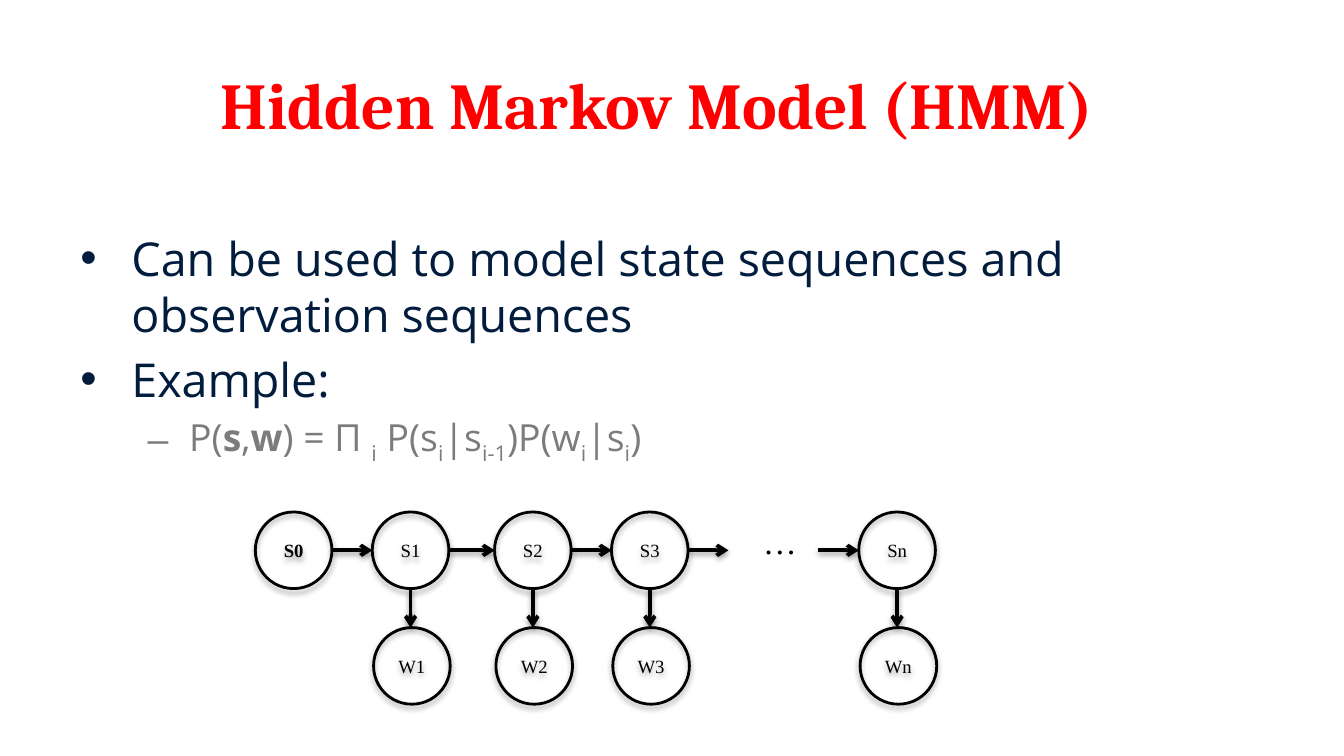
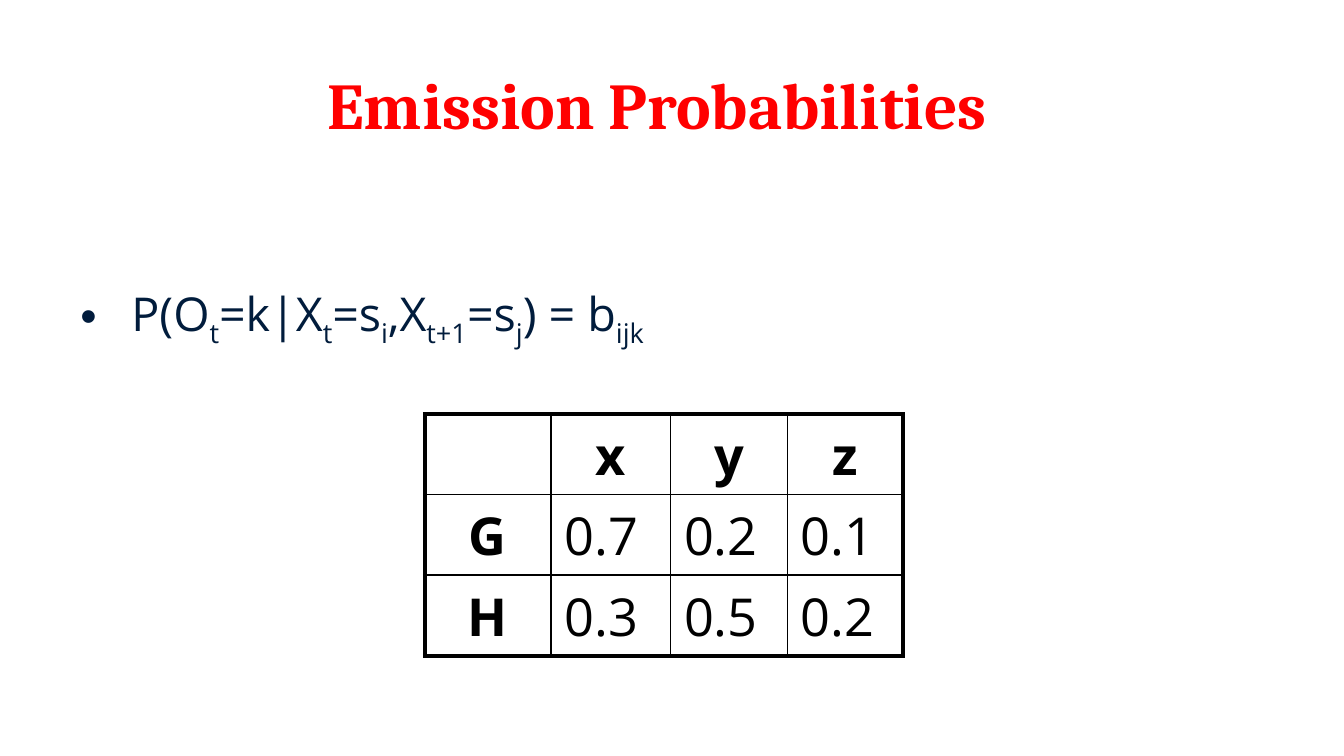
from dataclasses import dataclass

from lxml.etree import SubElement
from pptx import Presentation
from pptx.dml.color import RGBColor
from pptx.enum.shapes import MSO_CONNECTOR, MSO_SHAPE
from pptx.enum.text import MSO_ANCHOR, PP_ALIGN
from pptx.oxml.ns import qn
from pptx.util import Inches, Pt


@dataclass(frozen=True)
class Theme:
    title_color: str = "FF0000"
    body_color: str = "011C3C"
    detail_color: str = "7C7C7C"
    ink: str = "000000"
    title_font: str = "Cambria"
    body_font: str = "Open Sans"
    diagram_font: str = "Times New Roman"
    title_size: int = 35
    body_size: int = 25
    detail_size: int = 20
    table_size: int = 28
    node_size: int = 10
    dots_size: int = 18
    node_line: float = 1.5
    arrow_line: float = 2
    inner_border: float = 1
    outer_border: float = 2.25


def sub(text):
    return text, {"baseline": "-25000"}


def bold(text):
    return text, {"b": "1"}


def write(paragraph, content, *, font, size, color, is_bold=False, align=None):
    """Fill a paragraph from a string, or from strings and (text, attributes) pairs."""
    paragraph.alignment = align
    for part in [content] if isinstance(content, str) else content:
        text, attributes = (part, {}) if isinstance(part, str) else part
        run = paragraph.add_run()
        run.text = text
        run.font.name = font
        run.font.size = Pt(size)
        run.font.bold = is_bold
        run.font.color.rgb = RGBColor.from_string(color)
        for key, value in attributes.items():
            run._r.get_or_add_rPr().set(key, value)


def add_shadow(shape, color, opacity, distance):
    effects = SubElement(shape._element.spPr, qn("a:effectLst"))
    shadow = SubElement(effects, qn("a:outerShdw"), blurRad=str(Pt(3.1)),
                        dist=str(Pt(distance)), dir="5400000", rotWithShape="0")
    shade = SubElement(shadow, qn("a:srgbClr"), val=color)
    SubElement(shade, qn("a:alpha"), val=str(opacity * 1000))


def set_border(cell, side, width, color):
    edge = SubElement(cell._tc.get_or_add_tcPr(), qn(f"a:ln{side}"), w=str(Pt(width)))
    fill = SubElement(edge, qn("a:solidFill"))
    SubElement(fill, qn("a:srgbClr"), val=color)


class Deck:
    def __init__(self, theme):
        self.theme = theme
        self.presentation = Presentation()
        self.presentation.slide_width = Inches(10)
        self.presentation.slide_height = Inches(10) * 9 // 16
        self.slide = None

    def add_slide(self, title):
        theme = self.theme
        self.slide = self.presentation.slides.add_slide(self.presentation.slide_layouts[6])
        frame = self.text_frame(0.28, 0.43, 9.22, 0.77)
        write(frame.paragraphs[0], title, font=theme.title_font, size=theme.title_size,
              color=theme.title_color, is_bold=True, align=PP_ALIGN.CENTER)

    def text_frame(self, left, top, width, height, wrap=True):
        box = self.slide.shapes.add_textbox(
            Inches(left), Inches(top), Inches(width), Inches(height))
        box.text_frame.word_wrap = wrap
        return box.text_frame

    def bullets(self, top, height, items):
        """Add (level, content) items as a bulleted list."""
        theme = self.theme
        styles = [("•", 0.38, 0.38, theme.body_size, theme.body_color),
                  ("–", 0.81, 0.31, theme.detail_size, theme.detail_color)]
        frame = self.text_frame(0.5, top, 9, height)
        for index, (level, content) in enumerate(items):
            mark, indent, hanging, size, color = styles[level]
            paragraph = frame.add_paragraph() if index else frame.paragraphs[0]
            paragraph.level = level
            if index:
                paragraph.space_before = Pt(size * 0.2)
            properties = paragraph._p.get_or_add_pPr()
            properties.set("marL", str(Inches(indent)))
            properties.set("indent", str(-Inches(hanging)))
            SubElement(properties, qn("a:buFont"), typeface="Arial")
            SubElement(properties, qn("a:buChar"), char=mark)
            write(paragraph, content, font=theme.body_font, size=size, color=color)

    def node(self, label, left, top, diameter, is_bold=False):
        theme = self.theme
        circle = self.slide.shapes.add_shape(
            MSO_SHAPE.OVAL, Inches(left), Inches(top), Inches(diameter), Inches(diameter))
        circle.fill.background()
        circle.line.color.rgb = RGBColor.from_string(theme.ink)
        circle.line.width = Pt(theme.node_line)
        add_shadow(circle, theme.ink, 35, 1.8)
        frame = circle.text_frame
        frame.vertical_anchor = MSO_ANCHOR.MIDDLE
        write(frame.paragraphs[0], label, font=theme.diagram_font, size=theme.node_size,
              color=theme.ink, is_bold=is_bold, align=PP_ALIGN.CENTER)

    def arrow(self, x1, y1, x2, y2):
        theme = self.theme
        line = self.slide.shapes.add_connector(
            MSO_CONNECTOR.STRAIGHT, Inches(x1), Inches(y1), Inches(x2), Inches(y2))
        line.line.color.rgb = RGBColor.from_string(theme.ink)
        line.line.width = Pt(theme.arrow_line)
        SubElement(line.line._get_or_add_ln(), qn("a:tailEnd"), type="arrow")
        add_shadow(line, theme.ink, 38, 1.6)

    def table(self, left, top, widths, row_height, rows):
        """Add a grid with a heavy frame, bold headers and plain values."""
        theme = self.theme
        table = self.slide.shapes.add_table(
            len(rows), len(widths), Inches(left), Inches(top),
            Inches(sum(widths)), Inches(row_height * len(rows))).table
        for column, width in zip(table.columns, widths):
            column.width = Inches(width)
        for r, row in enumerate(rows):
            for c, text in enumerate(row):
                cell = table.cell(r, c)
                cell.margin_left = cell.margin_right = Inches(0.1)
                cell.margin_top = cell.margin_bottom = Inches(0.04)
                outer = {"L": c == 0, "R": c == len(row) - 1,
                         "T": r == 0, "B": r == len(rows) - 1}
                for side, is_outer in outer.items():
                    width = theme.outer_border if is_outer else theme.inner_border
                    set_border(cell, side, width, theme.ink)
                cell.fill.background()
                header = r == 0 or c == 0
                if text:
                    write(cell.text_frame.paragraphs[0], text, font=theme.body_font,
                          size=theme.table_size, color=theme.ink, is_bold=header,
                          align=PP_ALIGN.CENTER if header else PP_ALIGN.LEFT)


def build_model(deck):
    deck.add_slide("Hidden Markov Model (HMM)")
    deck.bullets(1.66, 2.96, [
        (0, "Can be used to model state sequences and observation sequences"),
        (0, "Example:"),
        (1, ["P(", bold("s"), ",", bold("w"), ") = Π ", sub("i"), " P(s", sub("i"),
             "|s", sub("i-1"), ")P(w", sub("i"), "|s", sub("i"), ")"]),
    ])

    diameter, state_top, word_top = 0.57, 3.81, 4.67
    middle = state_top + diameter / 2
    states = {"0": 1.9, "1": 2.77, "2": 3.68, "3": 4.55, "n": 6.39}
    for step, left in states.items():
        deck.node(f"S{step}", left, state_top, diameter, is_bold=step == "0")
        if step != "0":
            center = left + diameter / 2
            deck.node(f"W{step}", left + 0.01, word_top, diameter)
            deck.arrow(center, state_top + diameter, center, word_top)

    lefts = list(states.values())
    gap_start, gap_end = 5.42, 6.09
    starts = [left + diameter for left in lefts[:-1]] + [gap_end]
    ends = lefts[1:-1] + [gap_start, lefts[-1]]
    for start, end in zip(starts, ends):
        deck.arrow(start, middle, end, middle)

    theme = deck.theme
    dots = deck.text_frame(5.58, 3.83, 0.45, 0.4, wrap=False)
    write(dots.paragraphs[0], "…", font=theme.diagram_font, size=theme.dots_size,
          color=theme.ink)


def build_emissions(deck):
    deck.add_slide("Emission Probabilities")
    deck.bullets(2.07, 0.74, [
        (0, ["P(O", sub("t"), "=k|X", sub("t"), "=s", sub("i"), ",X", sub("t+1"),
             "=s", sub("j"), ") = b", sub("ijk")]),
    ])
    deck.table(3.16, 3.08, [0.94, 0.89, 0.87, 0.86], 0.6, [
        ["", "x", "y", "z"],
        ["G", "0.7", "0.2", "0.1"],
        ["H", "0.3", "0.5", "0.2"],
    ])


def main():
    deck = Deck(Theme())
    build_model(deck)
    build_emissions(deck)
    deck.presentation.save("out.pptx")


if __name__ == "__main__":
    main()
